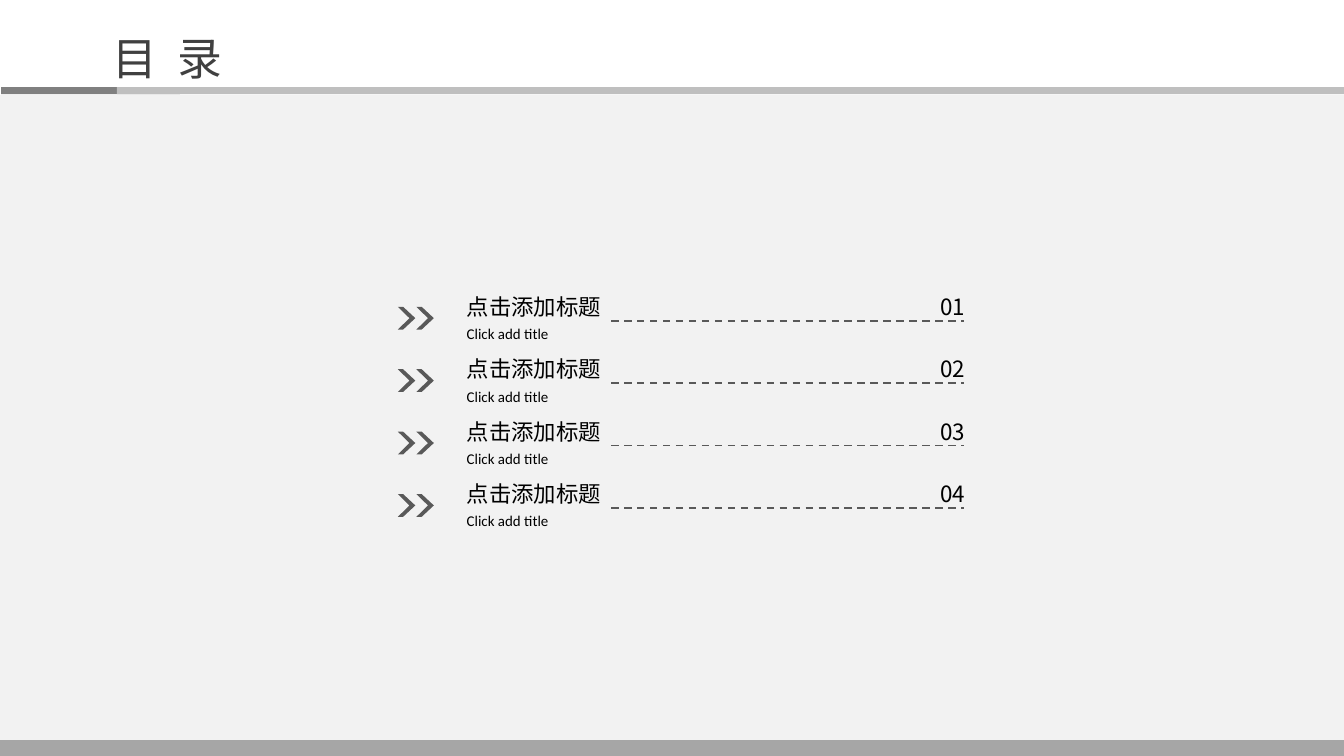
from dataclasses import dataclass

from lxml.etree import SubElement
from pptx import Presentation
from pptx.dml.color import RGBColor
from pptx.enum.dml import MSO_LINE_DASH_STYLE as Dash
from pptx.enum.shapes import MSO_CONNECTOR_TYPE as Connector
from pptx.enum.shapes import MSO_SHAPE as Shape
from pptx.oxml.ns import qn
from pptx.util import Cm, Pt

COLORS = {
    "panel": "F2F2F2",
    "accent": "808080",
    "rule": "BFBFBF",
    "footer": "A6A6A6",
    "mark": "595959",
    "title": "404040",
    "text": "000000",
}
CJK = "Noto Sans CJK SC"


@dataclass
class Bar:
    left: float
    top: float
    width: float
    height: float
    color: str


@dataclass
class TextStyle:
    size: float
    font: str
    color: str = "text"
    spacing: int = 0  # hundredths of a point between letters


@dataclass
class Entry:
    number: str
    title: str = "点击添加标题"
    subtitle: str = "Click add title"


BARS = [
    Bar(0, 1.8, 25.4, 12.49, "panel"),
    Bar(0.02, 1.65, 3.38, 0.13, "accent"),
    Bar(2.21, 1.65, 23.19, 0.13, "rule"),
    Bar(-0.05, 13.99, 25.5, 0.3, "footer"),
]
HEADING = TextStyle(24, "Noto Sans CJK JP", "title", 270)
ENTRY_TITLE = TextStyle(12, CJK)
SUBTITLE = TextStyle(8, "Calibri")
ENTRIES = [Entry("01"), Entry("02"), Entry("03"), Entry("04")]
FIRST_TOP, PITCH = 5.54, 1.18
DIGIT_WIDTH = 0.23


def rgb(name: str) -> RGBColor:
    return RGBColor.from_string(COLORS[name])


def paint(shape, color: str) -> None:
    shape.shadow.inherit = False
    shape.fill.solid()
    shape.fill.fore_color.rgb = rgb(color)
    shape.line.fill.background()


def add_bar(page, bar: Bar) -> None:
    shape = page.shapes.add_shape(
        Shape.RECTANGLE, Cm(bar.left), Cm(bar.top), Cm(bar.width), Cm(bar.height)
    )
    paint(shape, bar.color)


def add_text(page, text: str, left: float, top: float, width: float,
             height: float, style: TextStyle, inset: float = 0) -> None:
    box = page.shapes.add_textbox(Cm(left), Cm(top), Cm(width), Cm(height))
    frame = box.text_frame
    frame.word_wrap = True
    frame.margin_left = frame.margin_right = Cm(inset)
    frame.margin_top = frame.margin_bottom = Cm(inset / 2)
    para = frame.paragraphs[0]
    para.text = text
    font = para.font
    font.size = Pt(style.size)
    font.name = style.font
    font.color.rgb = rgb(style.color)
    # East Asian face and letter spacing
    properties = para._p.pPr.find(qn("a:defRPr"))
    SubElement(properties, qn("a:ea")).set("typeface", style.font)
    if style.spacing:
        properties.set("spc", str(style.spacing))


def add_chevron(page, left: float, top: float) -> None:
    arm, tip, width, height = 0.1, 0.22, 0.33, 0.43
    points = [(arm, 0), (width, height / 2), (arm, height),
              (0, height), (tip, height / 2), (0, 0)]
    corners = [(Cm(left + x), Cm(top + y)) for x, y in points]
    builder = page.shapes.build_freeform(*corners[0])
    builder.add_line_segments(corners[1:], close=True)
    paint(builder.convert_to_shape(), "mark")


def add_leader(page, left: float, right: float, top: float) -> None:
    leader = page.shapes.add_connector(
        Connector.STRAIGHT, Cm(left), Cm(top), Cm(right), Cm(top)
    )
    leader.line.color.rgb = rgb("mark")
    leader.line.width = Pt(1)
    leader.line.dash_style = Dash.DASH
    SubElement(leader._element.spPr, qn("a:effectLst"))


def add_entry(page, entry: Entry, top: float) -> None:
    for left in (7.87, 7.52):
        add_chevron(page, left, top + 0.26)
    add_text(page, entry.title, 8.82, top, 5.71, 0.52, ENTRY_TITLE)
    for place, digit in enumerate(entry.number):
        add_text(page, digit, 17.77 + place * DIGIT_WIDTH, top,
                 DIGIT_WIDTH + 0.01, 0.52, ENTRY_TITLE)
    add_text(page, entry.subtitle, 8.82, top + 0.6, 1.7, 0.33, SUBTITLE)
    add_leader(page, 11.55, 18.22, top + 0.52)


def main() -> None:
    deck = Presentation()
    deck.slide_width, deck.slide_height = Cm(25.4), Cm(14.29)
    page = deck.slides.add_slide(deck.slide_layouts[6])

    # Background bands
    for bar in BARS:
        add_bar(page, bar)

    # Contents list
    for index, entry in enumerate(ENTRIES):
        add_entry(page, entry, FIRST_TOP + index * PITCH)

    # Heading
    add_text(page, "目 录", 1.88, 0.46, 2.8, 1.3, HEADING, inset=0.25)

    deck.save("out.pptx")


if __name__ == "__main__":
    main()
